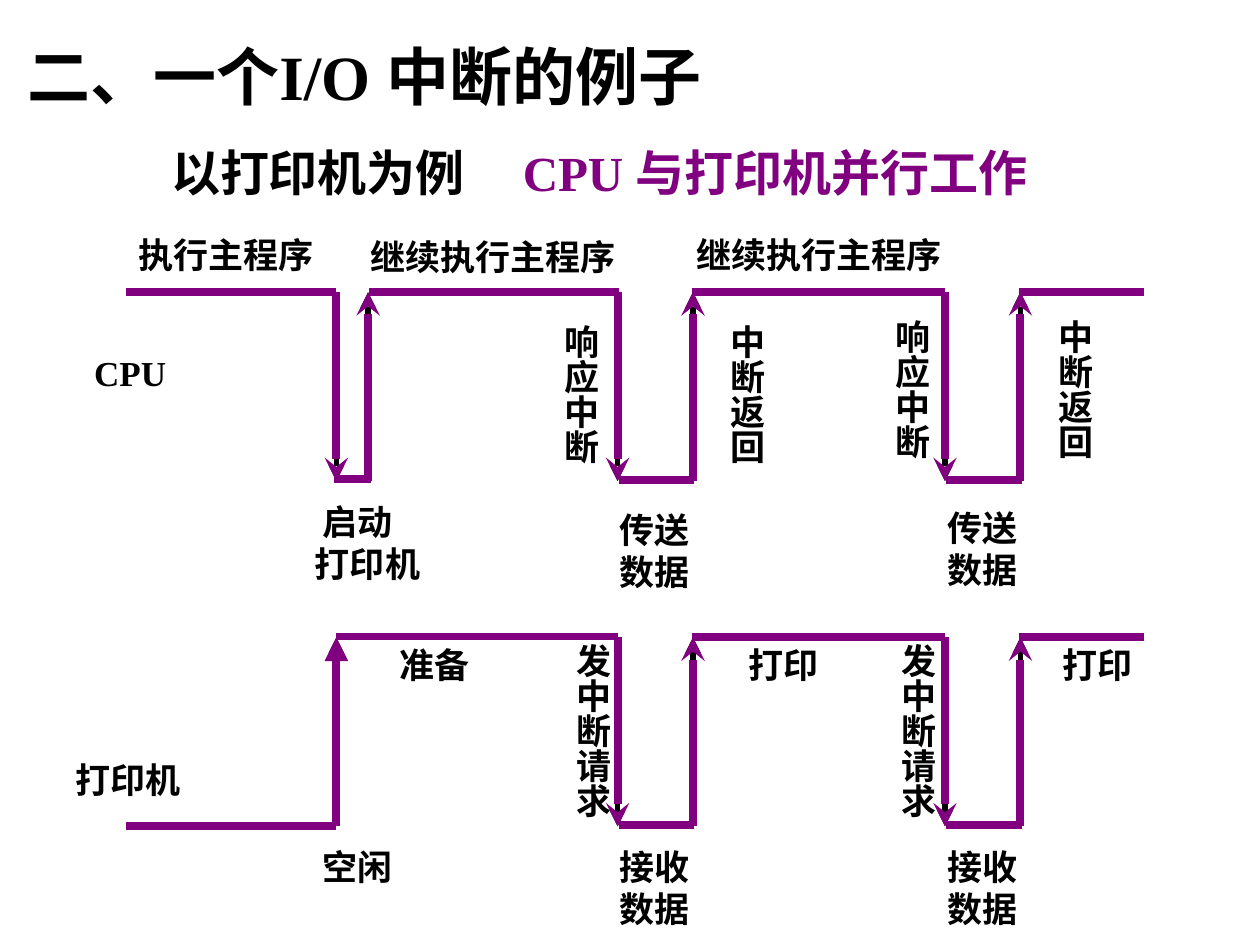
import pptx
import pptx.dml.color
import pptx.enum.shapes
import pptx.enum.text
import pptx.oxml.ns
import pptx.util
from lxml import etree

Cm = pptx.util.Cm
BLACK, PURPLE = "000000", "800080"
FONT = "Times New Roman"
LINE_PITCH = 1.2
CM_PER_PT = 2.54 / 72
HEIGHT = 3.81                                # height of a signal
CYCLES = [(9.91, 11.43), (16.51, 18.03)]     # fall and rise of each interrupt
END = 20.52

# Wires: x1, y1, x2, y2, arrowhead
CPU_START = [
    (0, 0, 4.24, 0, None),
    (4.24, 0, 4.24, HEIGHT, "stealth"),
    (4.88, HEIGHT, 4.88, 0, "stealth"),
    (4.19, 3.76, 4.93, 3.76, None),
    (4.9, 0, 9.94, 0, None),
]
PRINTER_START = [
    (0, HEIGHT, 4.24, HEIGHT, None),
    (4.24, HEIGHT, 4.24, 0, "triangle"),
    (4.24, -0.02, 9.91, -0.02, None),
]

# Labels: text, x, y, width
CPU_LABELS = [
    ("执行主程序", 0, -1.3, 4.04),
    ("继续执行主程序", 4.67, -1.27, 5.46),
    ("继续执行主程序", 11.25, -1.3, 5.46),
    (" 启动\n打印机", 3.56, 4.07, 2.62),
    ("传送\n数据", 9.7, 4.24, 1.9),
    ("传送\n数据", 16.31, 4.19, 1.9),
    ("CPU", -0.89, 1.07, 1.96),
]
CPU_COLUMNS = [
    ("响应中断", 8.38, 0.53),
    ("中断返回", 11.71, 0.53),
    ("响应中断", 15.04, 0.43),
    ("中断返回", 18.34, 0.43),
]
PRINTER_LABELS = [
    (" 空闲", 3.56, 4.07, 2.11),
    ("接收\n数据", 9.7, 4.07, 1.9),
    ("接收\n数据", 16.31, 4.07, 1.9),
    ("准备", 5.26, 0, 1.9),
    ("打印", 12.29, 0, 1.9),
    ("打印", 18.62, 0, 1.9),
    ("打印机", -1.27, 2.31, 2.62),
]
PRINTER_COLUMNS = [("发中断请求", 8.61, 0), ("发中断请求", 15.16, 0)]


def rgb(color):
    return pptx.dml.color.RGBColor.from_string(color)


def write(shape, text, size=20, color=BLACK, vertical=False):
    frame = shape.text_frame
    frame.text = text
    frame.word_wrap = False
    frame.auto_size = pptx.enum.text.MSO_AUTO_SIZE.NONE
    frame.vertical_anchor = pptx.enum.text.MSO_ANCHOR.TOP
    left, right = (0.13, 0.13) if vertical else (0.25, 0)
    frame.margin_left, frame.margin_right = Cm(left), Cm(right)
    frame.margin_top = frame.margin_bottom = Cm(0.12)
    if vertical:
        shape.element.txBody.find(pptx.oxml.ns.qn("a:bodyPr")).set("vert", "eaVert")
    for paragraph in frame.paragraphs:
        paragraph.alignment = pptx.enum.text.PP_ALIGN.LEFT
        if not vertical:
            paragraph.line_spacing = pptx.util.Pt(size * LINE_PITCH)
        for run in paragraph.runs:
            run.font.name = FONT
            run.font.size = pptx.util.Pt(size)
            run.font.bold = True
            run.font.color.rgb = rgb(color)


def add_label(slide, text, x, y, width, size=20, **style):
    """Add horizontal text whose height follows its lines."""
    lines = text.count("\n") + 1
    height = 0.26 + lines * size * LINE_PITCH * CM_PER_PT
    box = slide.shapes.add_textbox(Cm(x), Cm(y), Cm(width), Cm(height))
    write(box, text, size=size, **style)


def add_column(slide, text, x, y):
    """Add text that runs from top to bottom."""
    height = 0.3 + 20 * CM_PER_PT * len(text)
    box = slide.shapes.add_textbox(Cm(x), Cm(y), Cm(1.35), Cm(height))
    write(box, text, vertical=True)


def add_wire(slide, x1, y1, x2, y2, head, color, width):
    wire = slide.shapes.add_connector(
        pptx.enum.shapes.MSO_CONNECTOR.STRAIGHT, Cm(x1), Cm(y1), Cm(x2), Cm(y2))
    wire.line.color.rgb = rgb(color)
    wire.line.width = pptx.util.Pt(width)
    properties = wire.element.spPr
    if head:
        line = properties.find(pptx.oxml.ns.qn("a:ln"))
        etree.SubElement(line, pptx.oxml.ns.qn("a:tailEnd"), type=head)
    etree.SubElement(properties, pptx.oxml.ns.qn("a:effectLst"))


def signal_wires(start):
    """Follow the opening wires with one pulse per interrupt."""
    wires = list(start)
    nexts = [fall for fall, _ in CYCLES[1:]] + [END]
    for (fall, rise), stop in zip(CYCLES, nexts):
        wires += [
            (fall, 0, fall, HEIGHT, "stealth"),
            (rise, HEIGHT, rise, 0, "stealth"),
            (fall + 0.02, 3.78, rise + 0.03, 3.78, None),
            (rise - 0.03, 0, stop, 0, None),
        ]
    return wires


def add_signal(slide, left, top, start, labels, columns):
    """Draw a signal: black core, its labels, then the purple coat."""
    def draw(color, width):
        for x1, y1, x2, y2, head in signal_wires(start):
            add_wire(slide, left + x1, top + y1, left + x2, top + y2, head, color, width)

    draw(BLACK, 3)
    for text, x, y, width in labels:
        add_label(slide, text, left + x, top + y, width)
    for text, x, y in columns:
        add_column(slide, text, left + x, top + y)
    draw(PURPLE, 4.5)


def add_heading(slide, left, top):
    title = slide.shapes.title
    title.left, title.top, title.width, title.height = (
        Cm(left), Cm(top), Cm(14.68), Cm(1.78))
    write(title, "二、一个I/O 中断的例子", size=36)
    add_label(slide, "以打印机为例", left + 2.9, top + 2.11, 6.43, size=28)
    add_label(slide, "CPU 与打印机并行工作", left + 9.99, top + 2.11, 10.9,
              size=28, color=PURPLE)


def main():
    deck = pptx.Presentation()
    deck.slide_width, deck.slide_height = Cm(25.4), Cm(19.05)
    slide = deck.slides.add_slide(deck.slide_layouts.get_by_name("Title Only"))
    add_heading(slide, 0.3, 0.64)
    add_signal(slide, 2.54, 12.85, PRINTER_START, PRINTER_LABELS, PRINTER_COLUMNS)
    add_signal(slide, 2.54, 5.89, CPU_START, CPU_LABELS, CPU_COLUMNS)
    deck.save("out.pptx")


if __name__ == "__main__":
    main()
